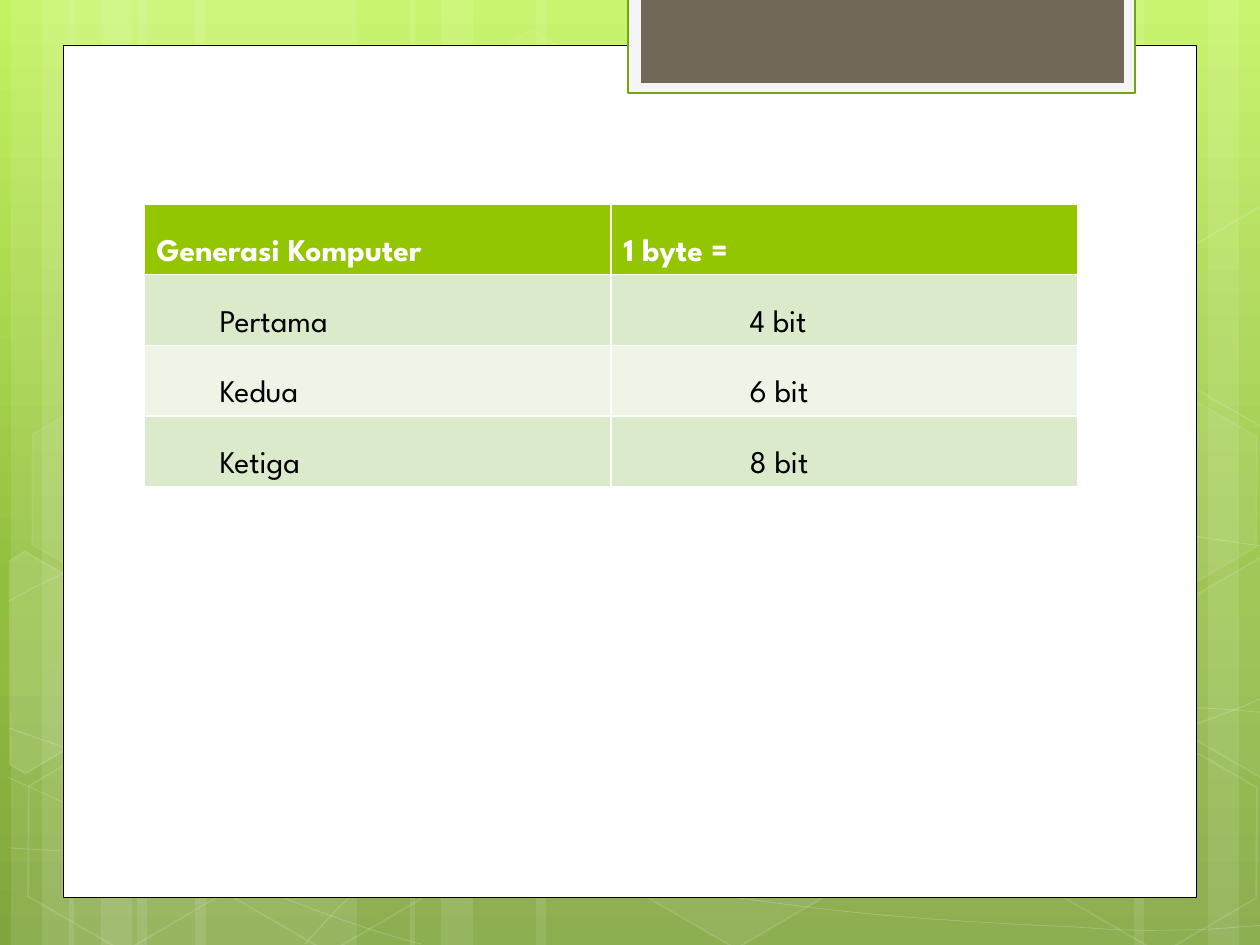
from copy import deepcopy

from lxml import etree
from pptx import Presentation
from pptx import util as u
from pptx.dml.color import RGBColor
from pptx.enum import shapes
from pptx.oxml.ns import qn

PX = u.Inches(1) / 126
FONT = "League Spartan"
WHITE = RGBColor(0xFF, 0xFF, 0xFF)
BLACK = RGBColor(0x00, 0x00, 0x00)
GREEN = RGBColor(0x94, 0xC6, 0x00)
DARK_GREEN = RGBColor(0x74, 0xA5, 0x10)
BAND_DARK = RGBColor(0xDC, 0xEA, 0xCC)
BAND_LIGHT = RGBColor(0xEE, 0xF5, 0xE7)
OFF_WHITE = RGBColor(0xF5, 0xF5, 0xF5)
BROWN = RGBColor(0x71, 0x68, 0x5A)
GRADIENT = [(0, RGBColor(0xC3, 0xF3, 0x5F)),
            (0.62, RGBColor(0x93, 0xBF, 0x3F)),
            (1, RGBColor(0x81, 0xA5, 0x3E))]

# Left edge and width of the full-height stripes
STRIPES = [(137, 220), (11, 63), (42, 105), (195, 220), (69, 63), (101, 105),
           (924, 220), (1208, 63), (1134, 105), (536, 388), (410, 63), (441, 105)]

# Chained cubic curves: a start point, then three points per segment
CURVES = [
    [(9, 848), (77, 852), (145, 856), (239, 854), (334, 853), (451, 850), (577, 838),
     (703, 825), (882, 801), (998, 777), (1113, 753), (1231, 716), (1269, 694)],
    [(9, 601), (45, 581), (82, 562), (152, 543), (224, 524), (326, 496), (437, 488),
     (549, 479), (685, 478), (824, 488), (963, 498), (1193, 537), (1269, 547)],
    [(8, 777), (160, 847), (311, 916), (421, 944)],
    [(9, 728), (48, 742), (88, 756), (161, 776), (234, 795), (344, 827), (450, 848),
     (554, 869), (687, 892), (791, 905), (896, 919), (1008, 924), (1075, 927),
     (1140, 932), (1158, 930), (1191, 930), (1223, 929), (1246, 926), (1269, 925)],
    [(305, 944), (328, 919), (350, 893), (381, 871), (411, 848), (454, 823), (489, 805),
     (524, 788), (546, 780), (592, 767), (638, 755), (722, 737), (766, 728),
     (811, 719), (818, 719), (857, 717), (896, 713), (958, 709), (1000, 708),
     (1045, 707), (1116, 708), (1116, 708), (1144, 708), (1173, 708), (1201, 708),
     (1223, 709), (1245, 711), (1256, 712), (1267, 712), (1264, 712), (1268, 713)],
]

# Left, top, fill opacity and line opacity (percent) of the hexagons
HEXAGONS = [(421, 45, 4, 8), (626, 742, 6, 12), (14, 745, 0, 12), (18, 393, 7, 8),
            (219, 746, 0, 12), (949, 571, 10, 12), (1051, 747, 0, 12), (1051, 396, 7, 8)]

# Hexagons cut off by the slide edges: corners before turning, left, top, fill opacity
LEFT_CUT = [(0, 16), (8, 0), (119, 0), (174, 96), (120, 192), (102, 192)]
RIGHT_CUT = [(0, 96), (55, 0), (65, 0), (171, 182), (166, 192), (55, 192)]
CUT_HEXAGONS = [(LEFT_CUT, -42, 578, 10), (RIGHT_CUT, 1155, 559, 4),
                (RIGHT_CUT, 1155, 208, 0)]

ROWS = [("Generasi Komputer", "1 byte ="), ("Pertama", "4 bit"),
        ("Kedua", "6 bit"), ("Ketiga", "8 bit")]


def px(n):
    return u.Emu(round(n * PX))


def set_opacity(fill, percent):
    color = fill._xPr.find(qn("a:solidFill"))[0]
    etree.SubElement(color, qn("a:alpha"), val=str(percent * 1000))


def style(shape, fill=None, opacity=100, line=None, width=1, line_opacity=100):
    shape.shadow.inherit = False
    for target, color, percent in ((shape.fill, fill, opacity),
                                   (shape.line.fill, line, line_opacity)):
        if color is None or percent == 0:
            target.background()
            continue
        target.solid()
        target.fore_color.rgb = color
        if percent < 100:
            set_opacity(target, percent)
    if line is not None:
        shape.line.width = u.Pt(width)


def add_rect(s, box, **look):
    rect = s.shapes.add_shape(shapes.MSO_SHAPE.RECTANGLE, *map(px, box))
    style(rect, **look)


def add_hexagon(s, left, top, opacity, line_opacity):
    hexagon = s.shapes.add_shape(shapes.MSO_SHAPE.HEXAGON, *map(px, (left, top, 220, 192)))
    hexagon.adjustments[0] = 0.285
    hexagon.rotation = 30
    style(hexagon, WHITE, opacity, WHITE, 1, line_opacity)


def add_outline(s, points, close):
    builder = s.shapes.build_freeform(*points[0], scale=PX)
    builder.add_line_segments(points[1:], close=close)
    return builder.convert_to_shape()


def add_cut_hexagon(s, corners, left, top, opacity):
    points = [(left + x, top + y) for x, y in corners]
    hexagon = add_outline(s, points + points[:1], True)
    hexagon.rotation = 30
    style(hexagon, WHITE, opacity, WHITE, 1, 12)


def add_curve(s, knots):
    curve = add_outline(s, knots, False)
    outline = curve._element.find(".//" + qn("a:path"))
    segments = outline.findall(qn("a:lnTo"))
    # Each three points become one cubic segment
    for i in range(0, len(segments), 3):
        cubic = etree.SubElement(outline, qn("a:cubicBezTo"))
        for segment in segments[i:i + 3]:
            cubic.append(segment[0])
            outline.remove(segment)
    style(curve, line=WHITE, width=0.5, line_opacity=20)


def set_background(s):
    fill = s.background.fill
    fill.gradient()
    fill.gradient_angle = 270
    stops = s._element.find(".//" + qn("a:gsLst"))
    stops.append(deepcopy(stops[-1]))
    for stop, (position, color) in zip(fill.gradient_stops, GRADIENT):
        stop.position = position
        stop.color.rgb = color


def fill_cell(cell, words, row, col):
    header = row == 0
    cell.fill.solid()
    cell.fill.fore_color.rgb = GREEN if header else (BAND_LIGHT, BAND_DARK)[row % 2]
    p = cell.text_frame.paragraphs[0]
    p.line_spacing = 2.0
    if not header:
        p.level = col + 1
        p_pr = p._p.get_or_add_pPr()
        p_pr.set("marL", str(px(63 * (col + 1))))
        p_pr.set("indent", "0")
    r = p.add_run()
    r.text = words
    for name, value in {"name": FONT, "size": u.Pt(18), "bold": header}.items():
        setattr(r.font, name, value)
    r.font.color.rgb = WHITE if header else BLACK


def add_byte_table(s):
    # The default table style supplies the white cell borders
    frame = s.shapes.add_table(len(ROWS), 2, *map(px, (144, 204, 934, 208)))
    for row, texts in enumerate(ROWS):
        for col, words in enumerate(texts):
            fill_cell(frame.table.cell(row, col), words, row, col)
    frame.height = px(305)


def main():
    prs = Presentation()
    prs.slide_width, prs.slide_height = px(1260), px(945)
    s = prs.slides.add_slide(prs.slide_layouts[6])

    # Backdrop
    set_background(s)
    for left, width in STRIPES:
        add_rect(s, (left, 0, width, 945), fill=WHITE, opacity=10)
    for knots in CURVES:
        add_curve(s, knots)
    for hexagon in HEXAGONS:
        add_hexagon(s, *hexagon)
    for hexagon in CUT_HEXAGONS:
        add_cut_hexagon(s, *hexagon)

    # White page and its tab
    add_rect(s, (63, 45, 1134, 853), fill=WHITE, line=BLACK, width=0.5)
    add_rect(s, (628, -2, 507, 95), fill=OFF_WHITE, line=DARK_GREEN, width=1.25)
    add_rect(s, (641, -2, 483, 85), fill=BROWN)

    # Bits per byte by computer generation
    add_byte_table(s)
    prs.save("out.pptx")


if __name__ == "__main__":
    main()
